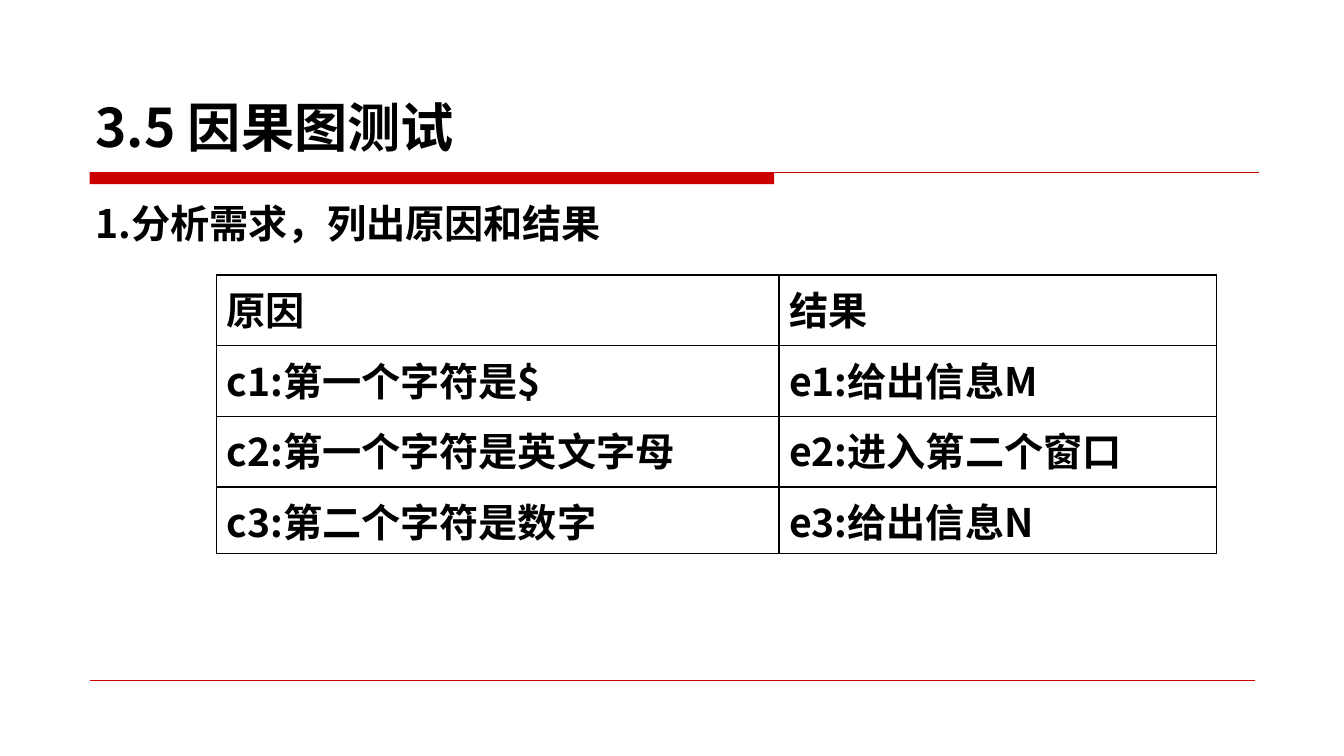
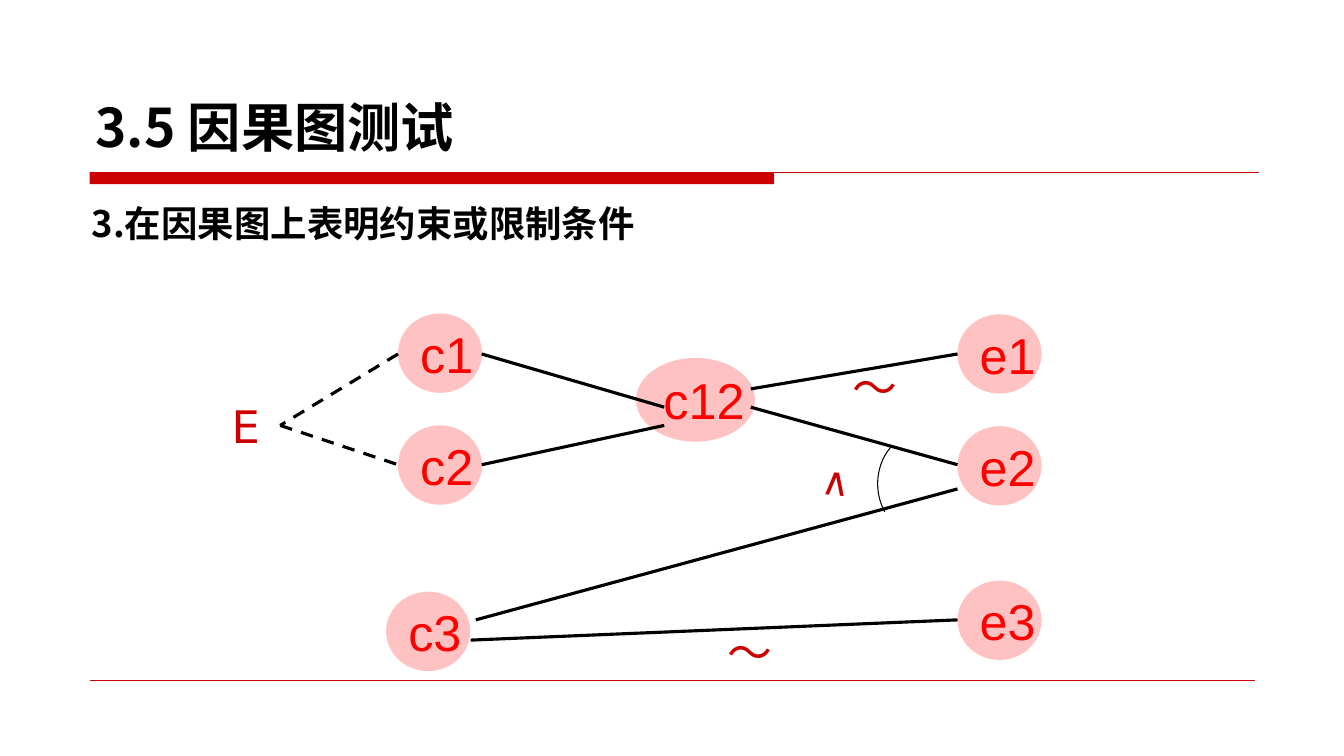
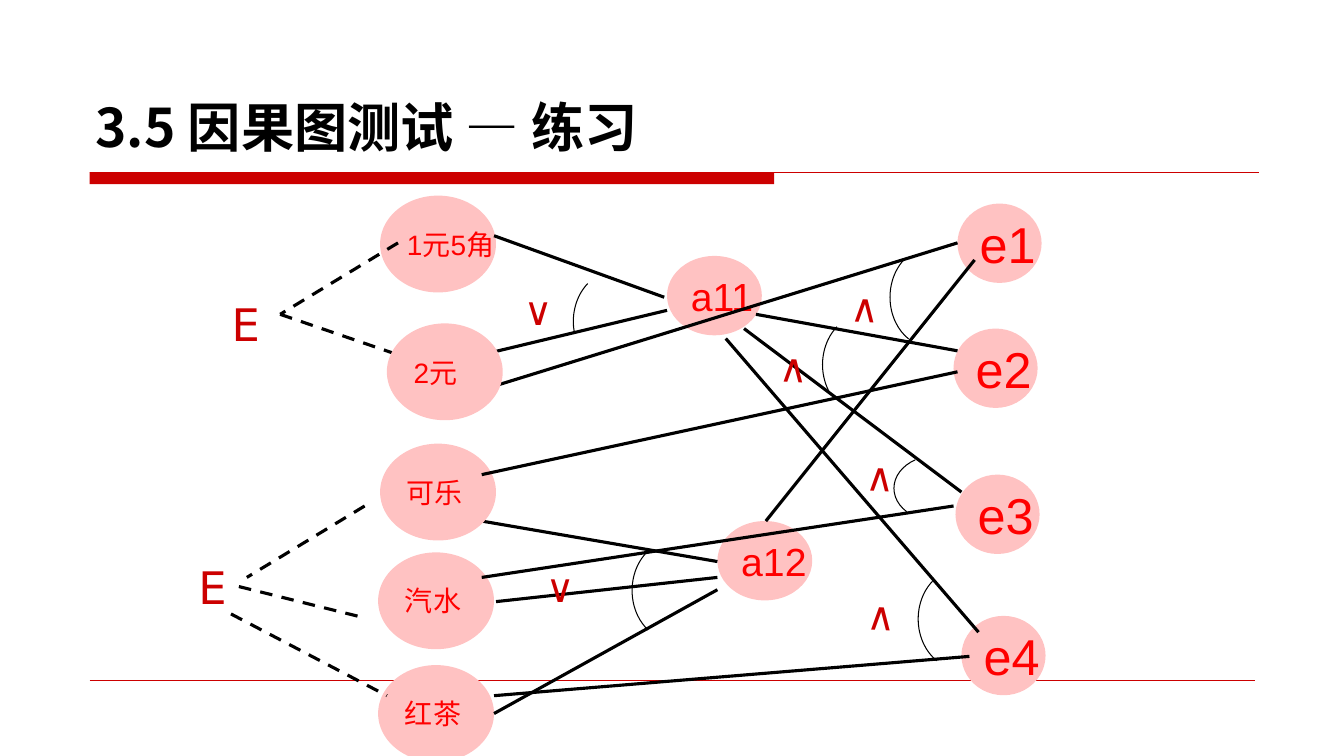
from pptx import Presentation
from pptx.util import Cm, Pt
from pptx.dml.color import RGBColor as RGB
from pptx.enum.shapes import MSO_SHAPE as Kind, MSO_CONNECTOR as Conn
from pptx.enum.dml import MSO_LINE as Dash
from pptx.enum.text import MSO_ANCHOR as Anchor, MSO_AUTO_SIZE as Auto, PP_ALIGN as Align
from pptx.oxml.ns import qn
from lxml import etree

HUES = {"red": "CC0000", "text": "FF0000", "pink": "FFC2C2", "ink": "000000", "white": "FFFFFF"}
CJK, LATIN, SIGN = "Noto Sans CJK SC", "Arial", "DejaVu Sans"
TITLE = "3.5 因果图测试"

ROWS = [
    ("原因", "结果"),
    ("c1:第一个字符是$", "e1:给出信息M"),
    ("c2:第一个字符是英文字母", "e2:进入第二个窗口"),
    ("c3:第二个字符是数字", "e3:给出信息N"),
]
COLS = (14.17, 11.02)
HIGHS = (1.78, 1.78, 1.78, 1.68)

SIZES = {
    "small": (2.12, 2.0, 36),
    "wide": (3.0, 2.11, 36),
    "mid": (2.39, 2.0, 28),
    "big": (2.92, 2.44, 20),
}
SIGNS = {"E": (2.54, 1.63, 32), "～": (2.34, 1.63, 32), "∨": (1.47, 1.45, 28)}

LIMITS = {
    "layers": [{
        "nodes": [
            ("c1", "small", 10.03, 7.9), ("c2", "small", 10.03, 10.72),
            ("c3", "small", 9.73, 14.91), ("c12", "wide", 16.03, 9.02),
            ("e1", "small", 24.13, 7.92), ("e2", "small", 24.13, 10.74),
            ("e3", "small", 24.13, 14.63),
        ],
        "dashes": [(10.03, 8.92, 7.06, 10.72), (7.06, 10.72, 10.03, 11.71)],
        "links": [
            (12.14, 8.92, 16.74, 10.26), (12.14, 11.71, 16.74, 10.72),
            (24.13, 8.92, 18.92, 9.8), (24.13, 11.71, 18.92, 10.26),
            (11.99, 15.62, 24.13, 12.32), (11.86, 16.13, 24.13, 15.62),
        ],
    }],
    "arcs": [(22.12, 10.92, 2.54, 84.85)],
    "marks": [("E", 5.59, 9.91, 0), ("～", 18.08, 15.62, 0),
              ("～", 21.23, 8.94, 0), ("∨", 20.19, 11.58, 185.7)],
}

DRINKS = {
    "layers": [{
        "nodes": [
            ("1元5角", "big", 9.58, 4.93), ("a11", "mid", 16.81, 6.45),
            ("e1", "small", 24.13, 5.13), ("a12", "mid", 18.08, 13.13),
        ],
        "dashes": [(10.03, 6.12, 7.06, 7.92), (7.06, 7.92, 10.03, 8.94)],
        "links": [
            (12.45, 5.94, 16.74, 7.49), (12.14, 8.94, 16.81, 7.82),
            (24.13, 6.12, 12.45, 9.73), (12.14, 13.13, 18.08, 14.15),
        ],
    }, {
        "nodes": [
            ("2元", "big", 9.75, 8.15), ("可乐", "big", 9.58, 11.18),
            ("汽水", "big", 9.53, 13.92), ("红茶", "big", 9.53, 16.76),
            ("e2", "small", 24.03, 8.28), ("e3", "small", 24.08, 11.96),
            ("e4", "small", 24.23, 15.52),
        ],
        "dashes": [(9.19, 12.75, 6.22, 14.55), (6.02, 14.78, 9.19, 15.57),
                   (5.82, 15.47, 9.75, 17.53)],
        "links": [
            (12.5, 15.16, 18.08, 14.55), (12.45, 17.98, 18.08, 14.86),
            (24.13, 9.37, 12.14, 11.96), (24.03, 12.75, 12.14, 14.55),
            (24.43, 16.54, 12.45, 17.53), (24.56, 6.55, 19.3, 13.13),
            (24.13, 8.84, 19.05, 7.92), (24.23, 12.4, 18.75, 8.28),
            (24.66, 15.93, 18.29, 8.53),
        ],
    }],
    "arcs": [
        (15.93, 13.61, 2.54, 74.17), (14.45, 6.83, 2.54, 99.95),
        (22.43, 6.22, 2.54, 71.66), (20.73, 7.92, 2.54, 85.05),
        (23.14, 14.33, 2.54, 71.66), (22.53, 11.48, 1.65, 84.95),
    ],
    "marks": [
        ("E", 5.59, 7.34, 0), ("E", 4.75, 13.97, 0),
        ("∨", 13.51, 14.07, 0), ("∨", 12.95, 7.09, 0),
        ("∨", 20.93, 7.21, 182.7), ("∨", 19.13, 8.71, 182.7),
        ("∨", 21.34, 14.96, 182.7), ("∨", 21.31, 11.48, 182.7),
    ],
}


def hue(name):
    return RGB.from_string(HUES[name])


def write(frame, text, size, font, color, bold=False):
    para = frame.paragraphs[0]
    para.alignment = Align.LEFT
    run = para.add_run()
    run.text = text
    run.font.size, run.font.name, run.font.bold = Pt(size), font, bold
    run.font.color.rgb = hue(color)
    east = etree.SubElement(run.font._element, qn("a:ea"))
    east.set("typeface", font)
    return para


def label(slide, box, *style):
    shape = slide.shapes.add_textbox(*map(Cm, box))
    shape.text_frame.word_wrap = True
    return shape, write(shape.text_frame, *style)


def line(slide, ends, color, width, dash=False):
    link = slide.shapes.add_connector(Conn.STRAIGHT, *map(Cm, ends))
    link.line.color.rgb = hue(color)
    link.line.width = Pt(width)
    if dash:
        link.line.dash_style = Dash.DASH
    etree.SubElement(link._element.spPr, qn("a:effectLst"))


def solid(slide, kind, box, color):
    shape = slide.shapes.add_shape(kind, *map(Cm, box))
    shape.shadow.inherit = False
    shape.fill.solid()
    shape.fill.fore_color.rgb = hue(color)
    shape.line.fill.background()
    return shape


def start(deck, title):
    slide = deck.slides.add_slide(deck.slide_layouts[6])
    solid(slide, Kind.RECTANGLE, (2.26, 4.34, 17.25, 0.3), "red")
    line(slide, (2.26, 4.34, 31.72, 4.34), "red", 0.75)
    line(slide, (2.26, 17.15, 31.62, 17.15), "red", 0.25)
    head, _ = label(slide, (2.16, 0.74, 22.23, 3.38), title, 38, CJK, "ink", True)
    head.text_frame.vertical_anchor = Anchor.BOTTOM
    return slide


def step(slide, box, text, size):
    _, para = label(slide, box, text, size, CJK, "ink", True)
    para.alignment = Align.JUSTIFY
    para.line_spacing = 1.3


def edge(cell):
    props = cell._tc.get_or_add_tcPr()
    for n, side in enumerate(("lnL", "lnR", "lnT", "lnB")):
        rule = etree.Element(qn("a:" + side), w=str(Pt(1)))
        fill = etree.SubElement(rule, qn("a:solidFill"))
        etree.SubElement(fill, qn("a:srgbClr"), val=HUES["ink"])
        props.insert(n, rule)


def grid(slide):
    box = (5.46, 6.93, sum(COLS), sum(HIGHS))
    table = slide.shapes.add_table(len(ROWS), len(COLS), *map(Cm, box)).table
    for col, width in zip(table.columns, COLS):
        col.width = Cm(width)
    for row, high, texts in zip(table.rows, HIGHS, ROWS):
        row.height = Cm(high)
        for cell, text in zip(row.cells, texts):
            cell.fill.solid()
            cell.fill.fore_color.rgb = hue("white")
            write(cell.text_frame, text, 28, CJK, "ink", True)
            edge(cell)


def graph(slide, plan):
    for layer in plan["layers"]:
        for text, kind, x, y in layer["nodes"]:
            wide, high, size = SIZES[kind]
            node = solid(slide, Kind.OVAL, (x, y, wide, high), "pink")
            node.text_frame.word_wrap = False
            node.text_frame.vertical_anchor = Anchor.MIDDLE
            write(node.text_frame, text, size, LATIN, "text")
        for key in ("dashes", "links"):
            for ends in layer[key]:
                line(slide, ends, "ink", 2.25, key == "dashes")
    for x, y, high, turn in plan["arcs"]:
        arc = slide.shapes.add_shape(Kind.ARC, Cm(x), Cm(y), Cm(2.13), Cm(high))
        arc.shadow.inherit = False
        arc.fill.background()
        arc.line.color.rgb = hue("ink")
        arc.line.width = Pt(0.75)
        arc.adjustments[0], arc.adjustments[1] = turn, 140.21
    for text, x, y, turn in plan["marks"]:
        wide, high, size = SIGNS[text]
        mark, _ = label(slide, (x, y, wide, high), text, size, SIGN, "red")
        mark.text_frame.auto_size = Auto.SHAPE_TO_FIT_TEXT
        mark.rotation = turn


deck = Presentation()
deck.slide_width, deck.slide_height = Cm(33.87), Cm(19.05)

causes = start(deck, TITLE)
step(causes, (2.16, 4.55, 29.51, 14.05), "1.分析需求，列出原因和结果", 28)
grid(causes)

limits = start(deck, TITLE)
step(limits, (2.06, 4.62, 21.89, 14.05), "3.在因果图上表明约束或限制条件", 26)
graph(limits, LIMITS)

drinks = start(deck, TITLE + " — 练习")
graph(drinks, DRINKS)

deck.save("out.pptx")
